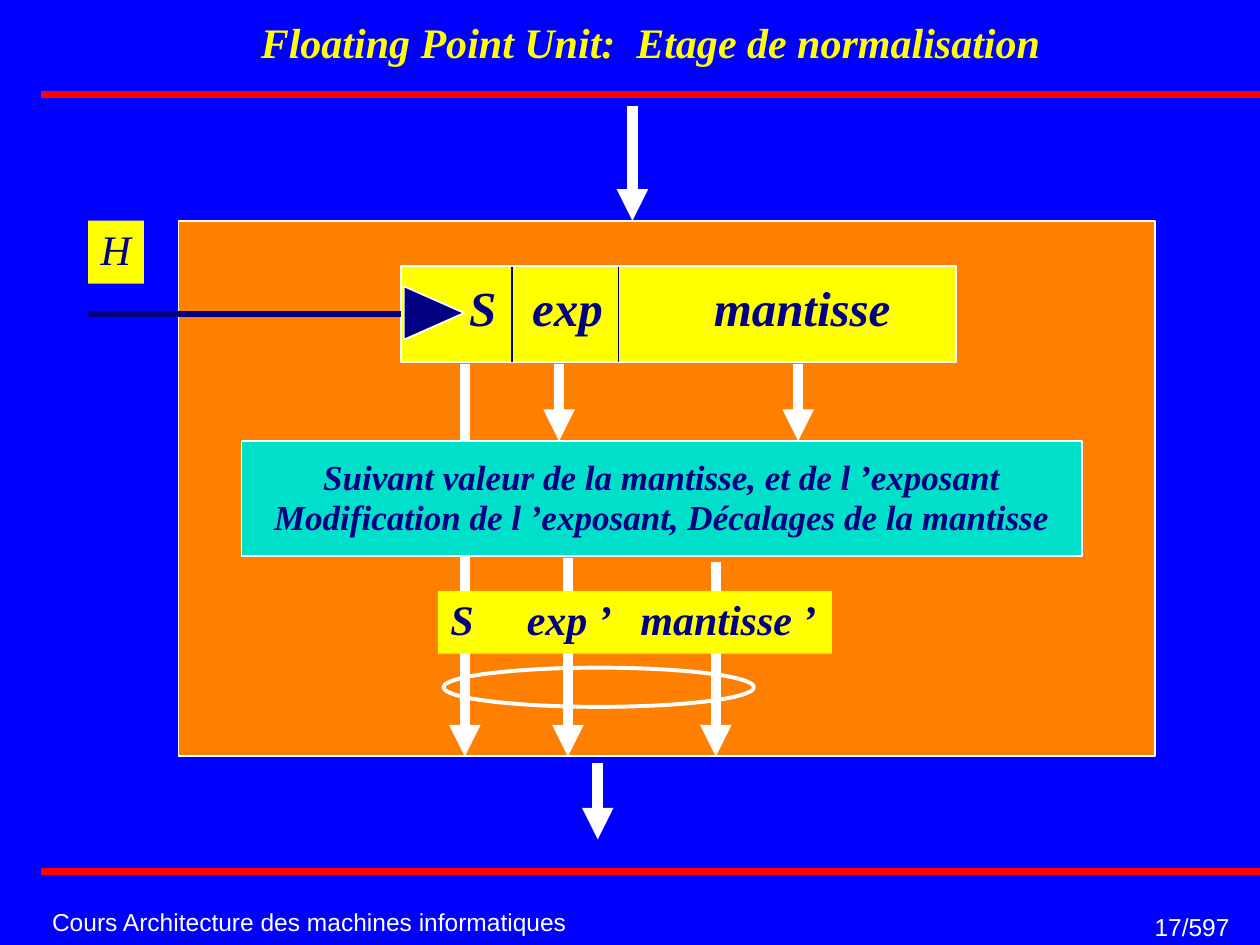
from lxml import etree
from pptx import Presentation
from pptx.dml.color import RGBColor
from pptx.enum.shapes import MSO_CONNECTOR, MSO_SHAPE
from pptx.enum.text import MSO_ANCHOR, MSO_AUTO_SIZE, PP_ALIGN
from pptx.oxml.ns import qn
from pptx.util import Cm, Pt

STRAIGHT = MSO_CONNECTOR.STRAIGHT
RECTANGLE, OVAL = MSO_SHAPE.RECTANGLE, MSO_SHAPE.OVAL
TOP, MIDDLE, BOTTOM = MSO_ANCHOR.TOP, MSO_ANCHOR.MIDDLE, MSO_ANCHOR.BOTTOM
LEFT, CENTER, RIGHT = PP_ALIGN.LEFT, PP_ALIGN.CENTER, PP_ALIGN.RIGHT
NO_AUTOFIT = MSO_AUTO_SIZE.NONE
LEFT_SIDE = 1
COLORS = {
    "blue": "0000FF", "red": "FF0100", "orange": "FF7F00", "yellow": "FFFF00",
    "teal": "00DFCA", "navy": "000080", "white": "FFFFFF",
}


def color(name):
    return RGBColor.from_string(COLORS[name])


def write(shape, text, size=24, ink="navy", font="Times New Roman", bold=True,
          italic=True, align=LEFT, anchor=TOP, spacing=0.94, tabs=(),
          inset_left=0.25, inset_top=0.13):
    frame = shape.text_frame
    frame.word_wrap = True
    frame.auto_size = NO_AUTOFIT
    frame.vertical_anchor = anchor
    frame.margin_left, frame.margin_right = Cm(inset_left), Cm(0.25)
    frame.margin_top, frame.margin_bottom = Cm(inset_top), Cm(0.13)
    for index, line in enumerate(text.split("\n")):
        para = frame.add_paragraph() if index else frame.paragraphs[0]
        para.alignment = align
        para.line_spacing = spacing
        if tabs:
            stops = etree.SubElement(para._p.get_or_add_pPr(), qn("a:tabLst"))
            for stop in tabs:
                etree.SubElement(stops, qn("a:tab"), pos=str(Cm(stop)), algn="l")
        span = para.add_run()
        span.text = line
        span.font.name, span.font.size = font, Pt(size)
        span.font.bold, span.font.italic = bold, italic
        span.font.color.rgb = color(ink)


class Diagram:
    def __init__(self, page):
        self.page = page
        self.shapes = page.shapes
        page.background.fill.solid()
        page.background.fill.fore_color.rgb = color("blue")

    def title(self, text, left, top, width, height):
        box = self.shapes.title
        box.left, box.top, box.width, box.height = map(Cm, (left, top, width, height))
        write(box, text, ink="yellow", align=CENTER, anchor=BOTTOM)

    def label(self, text, left, top, width, height, **style):
        box = self.shapes.add_textbox(*map(Cm, (left, top, width, height)))
        write(box, text, size=14, ink="white", font="Arial", bold=False,
              italic=False, **style)

    def paint(self, shape, fill, outline, weight):
        shape.shadow.inherit = False
        if fill:
            shape.fill.solid()
            shape.fill.fore_color.rgb = color(fill)
        else:
            shape.fill.background()
        if outline:
            shape.line.color.rgb = color(outline)
            shape.line.width = Pt(weight)
        else:
            shape.line.fill.background()

    def box(self, left, top, width, height, fill=None, outline="white",
            weight=1, kind=RECTANGLE):
        shape = self.shapes.add_shape(kind, *map(Cm, (left, top, width, height)))
        self.paint(shape, fill, outline, weight)
        return shape

    def polygon(self, points, fill, outline="white", weight=1):
        start, *others = [(Cm(x), Cm(y)) for x, y in points]
        builder = self.shapes.build_freeform(*start)
        builder.add_line_segments(others, close=True)
        self.paint(builder.convert_to_shape(), fill, outline, weight)

    def line(self, x1, y1, x2, y2, ink, weight, arrow=False):
        connector = self.shapes.add_connector(STRAIGHT, *map(Cm, (x1, y1, x2, y2)))
        connector.line.color.rgb = color(ink)
        connector.line.width = Pt(weight)
        properties = connector._element.spPr
        if arrow:
            etree.SubElement(properties.find(qn("a:ln")), qn("a:tailEnd"),
                             type="triangle")
        etree.SubElement(properties, qn("a:effectLst"))
        return connector

    def down_arrow(self, x, top, bottom):
        self.line(x, top, x, bottom, "white", 6, arrow=True)


def main():
    deck = Presentation()
    deck.slide_width, deck.slide_height = Cm(25.4), Cm(19.05)
    diagram = Diagram(deck.slides.add_slide(deck.slide_layouts[5]))

    for y in (1.9, 17.57):
        diagram.line(0.83, y, 25.4, y, "red", 4)
    diagram.label("Cours Architecture des machines informatiques",
                  0.8, 18.24, 12, 0.76, anchor=MIDDLE, spacing=0.93)
    diagram.label("17/597", 20.04, 18.26, 5, 0.8, align=RIGHT, spacing=1.0)
    diagram.title("Floating Point Unit:  Etage de normalisation",
                  2.41, 0.28, 21.41, 1.22)

    diagram.box(3.6, 4.45, 19.68, 10.79, "orange")
    diagram.down_arrow(12.75, 2.13, 4.45)
    clock = diagram.box(1.78, 4.45, 1.12, 1.27, "yellow", outline=None)
    write(clock, "H", bold=False)

    register = diagram.box(8.09, 5.36, 11.18, 1.94, "yellow")
    write(register, "S\texp\tmantisse", size=28, tabs=(1.27, 4.93),
          inset_left=1.37, inset_top=0.33)
    diagram.polygon([(9.36, 6.31), (8.14, 6.85), (8.14, 5.77)], "navy")
    for x in (10.32, 12.47):
        diagram.line(x, 5.39, x, 7.3, "navy", 1)
    clock_line = diagram.line(1.78, 6.33, 8.09, 6.33, "navy", 3)
    clock_line.end_connect(register, LEFT_SIDE)

    diagram.down_arrow(9.37, 7.34, 15.25)
    for x in (11.27, 16.09):
        diagram.down_arrow(x, 7.34, 8.89)
    rule = diagram.box(4.87, 8.89, 16.94, 2.32, "teal")
    write(rule, "Suivant valeur de la mantisse, et de l ’exposant\n"
                "Modification de l ’exposant, Décalages de la mantisse",
          size=20, align=CENTER, anchor=MIDDLE)

    for x, top in ((11.45, 11.25), (14.43, 11.32)):
        diagram.down_arrow(x, top, 15.25)
    result = diagram.box(8.83, 11.91, 7.94, 1.27, "yellow", outline=None)
    write(result, "S\texp ’\tmantisse ’", tabs=(1.54, 3.83))
    diagram.box(8.94, 13.46, 6.26, 0.79, weight=2.25, kind=OVAL)
    diagram.down_arrow(12.05, 15.38, 16.92)

    deck.save("out.pptx")


if __name__ == "__main__":
    main()
